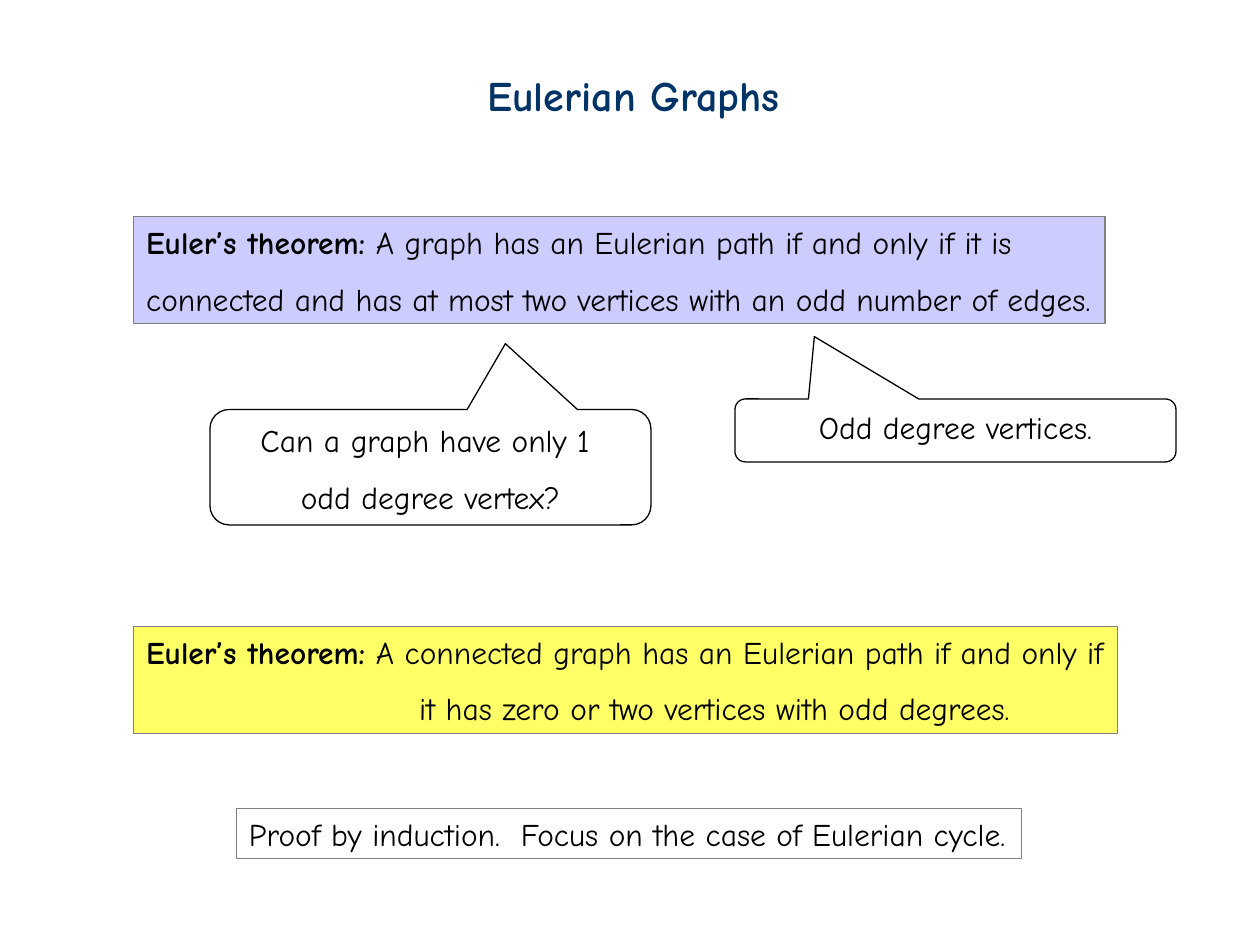
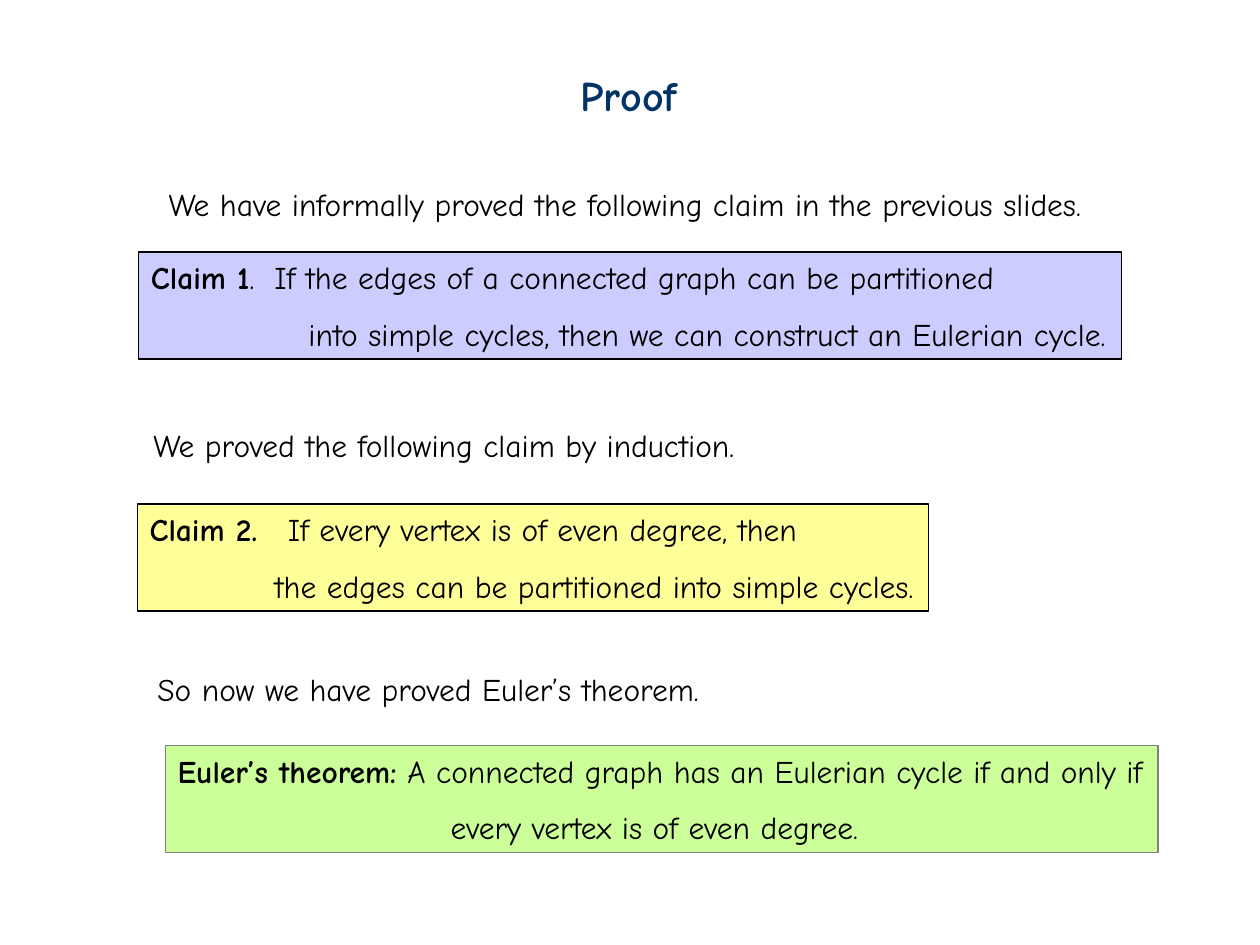
from pptx import Presentation
from pptx.dml.color import RGBColor
from pptx.enum.shapes import MSO_SHAPE
from pptx.enum.text import MSO_ANCHOR, PP_ALIGN
from pptx.oxml.xmlchemy import OxmlElement
from pptx.util import Pt

FONT = "Comic Neue"
NAVY = RGBColor(0x00, 0x33, 0x66)
BLACK = RGBColor(0x00, 0x00, 0x00)
GRAY = RGBColor(0x80, 0x80, 0x80)
LILAC = RGBColor(0xCC, 0xCC, 0xFF)
YELLOW = RGBColor(0xFF, 0xFF, 0x66)
CREAM = RGBColor(0xFF, 0xFF, 0x99)
GREEN = RGBColor(0xCC, 0xFF, 0x99)

LINE_H = 28.8
PAIR_H = 61.2
HANG = 156


def add_run(para, text, size=18, color=BLACK, bold=False):
    """Append one formatted run to a paragraph."""
    run = para.add_run()
    run.text = text
    font = run.font
    font.name, font.size, font.bold = FONT, Pt(size), bold
    font.color.rgb = color


def set_tab(para, stop):
    """Give a paragraph one left tab stop."""
    tabs = OxmlElement("a:tabLst")
    tab = OxmlElement("a:tab")
    tab.set("pos", str(Pt(stop)))
    tab.set("algn", "l")
    tabs.append(tab)
    para._p.get_or_add_pPr().append(tabs)


def set_frame(shape, right=0):
    """Set wrapping, top anchor and insets, and return the text frame."""
    frame = shape.text_frame
    frame.word_wrap = True
    frame.vertical_anchor = MSO_ANCHOR.TOP
    frame.margin_left, frame.margin_right = Pt(7.2), Pt(right)
    frame.margin_top = frame.margin_bottom = Pt(3.6)
    return frame


def add_next(frame, text, indent=0):
    """Add the second, wider spaced line of a text."""
    para = frame.add_paragraph()
    para.line_spacing = 1.5
    para._p.get_or_add_pPr().set("marL", str(Pt(indent)))
    add_run(para, text)
    return para


def add_label(slide, text, left, top, width, height=LINE_H, **style):
    """Add a single line of plain text."""
    box = slide.shapes.add_textbox(Pt(left), Pt(top), Pt(width), Pt(height))
    add_run(set_frame(box).paragraphs[0], text, **style)


def add_title(slide, text, left, width):
    """Add the slide title."""
    add_label(slide, text, left, 36, width, 36, size=24, color=NAVY, bold=True)


def add_panel(slide, kind, left, top, width, height, fill, line):
    """Add an outlined shape without shadow."""
    shape = slide.shapes.add_shape(kind, Pt(left), Pt(top), Pt(width), Pt(height))
    shape.shadow.inherit = False
    if fill is None:
        shape.fill.background()
    else:
        shape.fill.solid()
        shape.fill.fore_color.rgb = fill
    shape.line.color.rgb = line
    shape.line.width = Pt(0.75)
    return shape


def add_claim(slide, left, top, width, fill, line, head, first, rest, indent=0, stop=None):
    """Add a two-line statement with a bold heading."""
    shape = add_panel(slide, MSO_SHAPE.RECTANGLE, left, top, width, PAIR_H, fill, line)
    frame = set_frame(shape)
    para = frame.paragraphs[0]
    para.alignment = PP_ALIGN.LEFT
    if stop:
        set_tab(para, stop)
    add_run(para, head, bold=True)
    add_run(para, first)
    add_next(frame, rest, indent).alignment = PP_ALIGN.LEFT


def add_bubble(slide, left, top, height, tip, lines):
    """Add a speech bubble with centred lines."""
    shape = add_panel(slide, MSO_SHAPE.ROUNDED_RECTANGULAR_CALLOUT,
                      left, top, 252, height, None, BLACK)
    shape.adjustments[0], shape.adjustments[1] = tip
    frame = set_frame(shape, right=7.2)
    add_run(frame.paragraphs[0], lines[0])
    for text in lines[1:]:
        add_next(frame, text)
    for para in frame.paragraphs:
        para.alignment = PP_ALIGN.CENTER


def add_hint(slide, text, left, top, width):
    """Add a one-line framed remark."""
    shape = add_panel(slide, MSO_SHAPE.RECTANGLE, left, top, width, LINE_H, None, GRAY)
    para = set_frame(shape).paragraphs[0]
    para.alignment = PP_ALIGN.LEFT
    add_run(para, text)


def draw_graphs(slide):
    """Draw the slide that states the theorem on paths."""
    add_claim(slide, 76.4, 123.8, 555, LILAC, GRAY, "Euler’s theorem:",
              " A graph has an Eulerian path if and only if it is",
              "connected and has at most two vertices with an odd number of edges.")
    add_title(slide, "Eulerian Graphs", 271.4, 181.4)
    add_claim(slide, 76.4, 358, 562.3, YELLOW, GRAY, "Euler’s theorem:",
              " A connected graph has an Eulerian path if and only if",
              "it has zero or two vertices with odd degrees.", HANG)
    add_bubble(slide, 120, 234, 66, (0.17, -1.07),
               ["Can a graph have only 1 ", "odd degree vertex?"])
    add_bubble(slide, 420, 228, 36, (-0.32, -1.49), ["Odd degree vertices."])
    add_hint(slide, "Proof by induction.  Focus on the case of Eulerian cycle.",
             135.2, 462, 448.6)


def draw_proof(slide):
    """Draw the slide that sums up the proof."""
    add_title(slide, "Proof", 324.8, 69.8)
    add_claim(slide, 79.2, 144, 561.6, LILAC, BLACK, "Claim 1",
              ".\tIf the edges of a connected graph can be partitioned",
              "into simple cycles, then we can construct an Eulerian cycle.", 90, 70.5)
    add_claim(slide, 78.4, 288, 452.2, CREAM, BLACK, "Claim 2.",
              "\tIf every vertex is of even degree, then",
              "the edges can be partitioned into simple cycles.", 71.5, 79)
    add_claim(slide, 94.4, 426, 567.4, GREEN, GRAY, "Euler’s theorem:",
              " A connected graph has an Eulerian cycle if and only if",
              "every vertex is of even degree.", HANG)
    for text, left, top, width in [
        ("We have informally proved the following claim in the previous slides.",
         89.2, 102, 539.3),
        ("We proved the following claim by induction.", 80.6, 240, 348.5),
        ("So now we have proved Euler’s theorem.", 82.8, 379.4, 325.4),
    ]:
        add_label(slide, text, left, top, width)


def main():
    """Build and save both slides."""
    deck = Presentation()
    deck.slide_width, deck.slide_height = Pt(720), Pt(540)
    for draw in (draw_graphs, draw_proof):
        draw(deck.slides.add_slide(deck.slide_layouts[6]))
    deck.save("out.pptx")


if __name__ == "__main__":
    main()
